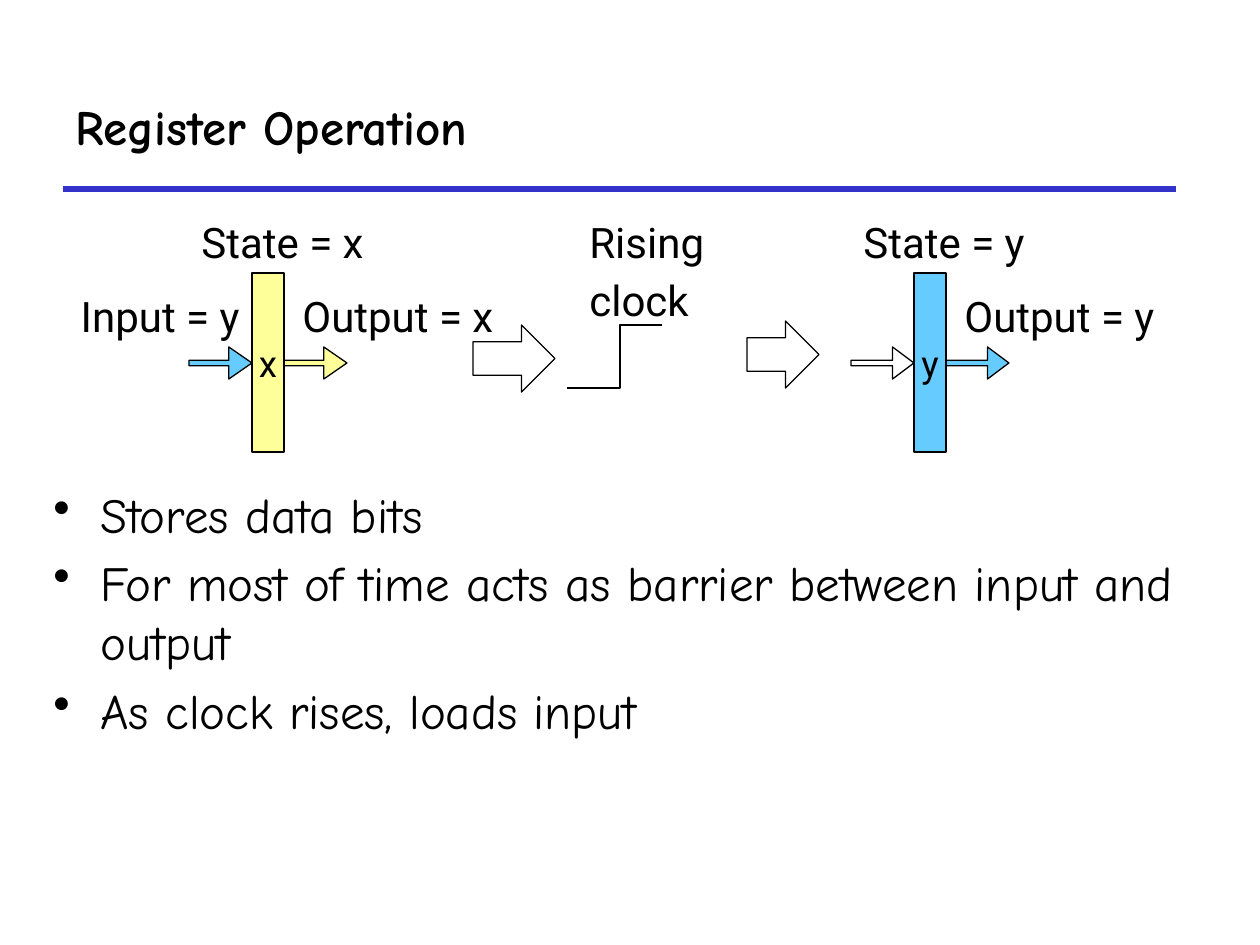
from dataclasses import dataclass
from lxml.etree import SubElement
from pptx import Presentation
from pptx.dml.color import RGBColor
from pptx.enum.shapes import MSO_CONNECTOR, MSO_SHAPE
from pptx.enum.text import MSO_ANCHOR, MSO_AUTO_SIZE, PP_ALIGN
from pptx.oxml.ns import qn
from pptx.util import Pt

SCALE = 914400 / 126  # EMU in one px


@dataclass(frozen=True)
class Theme:
    black: str = "000000"
    white: str = "FFFFFF"
    rule: str = "3333CC"
    yellow: str = "FFFF99"
    blue: str = "66CCFF"
    prose_font: str = "Comic Neue"
    label_font: str = "Roboto"
    prose_size: int = 28
    label_size: int = 24
    state_size: int = 21
    outline: float = 0.75
    rule_width: int = 3


THEME = Theme()

TITLE = "Register Operation"
BULLETS = [
    "Stores data bits",
    "For most of time acts as barrier between input and output",
    "As clock rises, loads input",
]
CLOCK_LABEL = ["Rising", "clock"]
CLOCK_EDGE = [(567, 388), (620, 388), (620, 325), (662, 325)]
INPUT_LABEL = ("Input = y", (62, 284, 190, 64))
# left px, stored value, input colour, register and output colour, arrowhead length
REGISTERS = [
    (252, "x", THEME.blue, THEME.yellow, 0.722),
    (914, "y", THEME.white, THEME.blue, 0.667),
]
STEP_ARROWS = [(473, 325, 82, 67), (747, 321, 72, 67)]

REGISTER_TOP, REGISTER_WIDTH, REGISTER_HEIGHT = 273, 32, 179
PORT_TOP, PORT_WIDTH, PORT_HEIGHT = 347, 63, 32


def px(*values):
    return [round(value * SCALE) for value in values]


def color(value):
    return RGBColor.from_string(value)


def write(frame, lines, font, size, bold=False, align=PP_ALIGN.LEFT, bulleted=False):
    for index, line in enumerate(lines):
        paragraph = frame.paragraphs[0] if index == 0 else frame.add_paragraph()
        paragraph.alignment = align
        if index:
            paragraph.space_before = Pt(size * 0.2)
        if bulleted:
            properties = paragraph._p.get_or_add_pPr()
            indent = px(47)[0]
            properties.set("marL", str(indent))
            properties.set("indent", str(-indent))
            SubElement(properties, qn("a:buChar")).set("char", "•")
        run = paragraph.add_run()
        run.text = line
        run.font.name = font
        run.font.size = Pt(size)
        run.font.bold = bold
        run.font.color.rgb = color(THEME.black)


def add_text(slide, box, lines, font, size, wrap=True, anchor=MSO_ANCHOR.TOP,
             fit=MSO_AUTO_SIZE.NONE, **style):
    frame = slide.shapes.add_textbox(*px(*box)).text_frame
    frame.word_wrap = wrap
    frame.vertical_anchor = anchor
    frame.auto_size = fit
    write(frame, lines, font, size, **style)


def add_label(slide, box, lines, wrap=False, align=PP_ALIGN.LEFT):
    add_text(slide, box, lines, THEME.label_font, THEME.label_size, wrap=wrap,
             fit=MSO_AUTO_SIZE.SHAPE_TO_FIT_TEXT, align=align)


def outline(shape, fill=None):
    """Give a shape a thin black line and a fill, or none."""
    shape.shadow.inherit = False
    if fill:
        shape.fill.solid()
        shape.fill.fore_color.rgb = color(fill)
    else:
        shape.fill.background()
    shape.line.color.rgb = color(THEME.black)
    shape.line.width = Pt(THEME.outline)


def add_arrow(slide, box, fill=None, shaft=0.5, head=0.5):
    arrow = slide.shapes.add_shape(MSO_SHAPE.RIGHT_ARROW, *px(*box))
    arrow.adjustments[0] = shaft
    arrow.adjustments[1] = head
    outline(arrow, fill)


def add_register(slide, left, value, input_color, state_color, head):
    add_label(slide, (left - 63, 210, 195, 64), [f"State = {value}"])
    add_label(slide, (left + 38, 284, 223, 64), [f"Output = {value}"])
    ports = [(left - PORT_WIDTH, input_color), (left + REGISTER_WIDTH, state_color)]
    for port_left, fill in ports:
        add_arrow(slide, (port_left, PORT_TOP, PORT_WIDTH, PORT_HEIGHT), fill, 0.167, head)
    body = slide.shapes.add_shape(
        MSO_SHAPE.RECTANGLE, *px(left, REGISTER_TOP, REGISTER_WIDTH, REGISTER_HEIGHT))
    outline(body, state_color)
    body.text_frame.word_wrap = False
    body.text_frame.vertical_anchor = MSO_ANCHOR.MIDDLE
    write(body.text_frame, [value], THEME.label_font, THEME.state_size,
          align=PP_ALIGN.CENTER)


def add_clock(slide):
    start, *corners = CLOCK_EDGE
    builder = slide.shapes.build_freeform(*start, scale=SCALE)
    builder.add_line_segments(corners, close=False)
    outline(builder.convert_to_shape())
    add_label(slide, (577, 210, 189, 125), CLOCK_LABEL, wrap=True)


def add_rule(slide):
    rule = slide.shapes.add_connector(MSO_CONNECTOR.STRAIGHT, *px(63, 189, 1176, 189))
    rule.line.color.rgb = color(THEME.rule)
    rule.line.width = Pt(THEME.rule_width)
    SubElement(rule._element.spPr, qn("a:effectLst"))


def main():
    presentation = Presentation()
    presentation.slide_width, presentation.slide_height = px(1260, 945)
    slide = presentation.slides.add_slide(presentation.slide_layouts[6])

    add_rule(slide)
    add_text(slide, (63, 63, 1113, 126), [TITLE], THEME.prose_font, THEME.prose_size,
             anchor=MSO_ANCHOR.MIDDLE, bold=True)
    add_text(slide, (41, 478, 1144, 351), BULLETS, THEME.prose_font, THEME.prose_size,
             bulleted=True)
    add_clock(slide)
    text, box = INPUT_LABEL
    add_label(slide, box, [text], align=PP_ALIGN.RIGHT)
    for register in REGISTERS:
        add_register(slide, *register)
    for box in STEP_ARROWS:
        add_arrow(slide, box)

    presentation.save("out.pptx")


if __name__ == "__main__":
    main()
